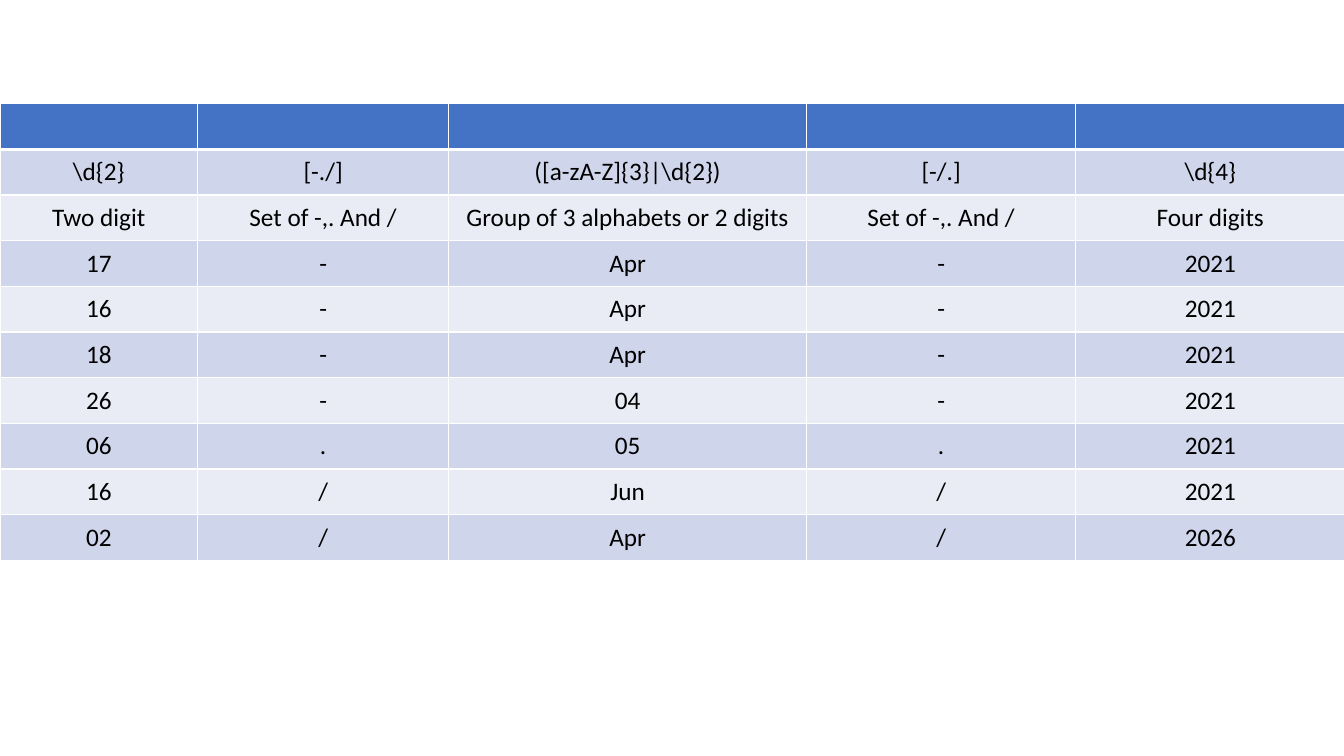
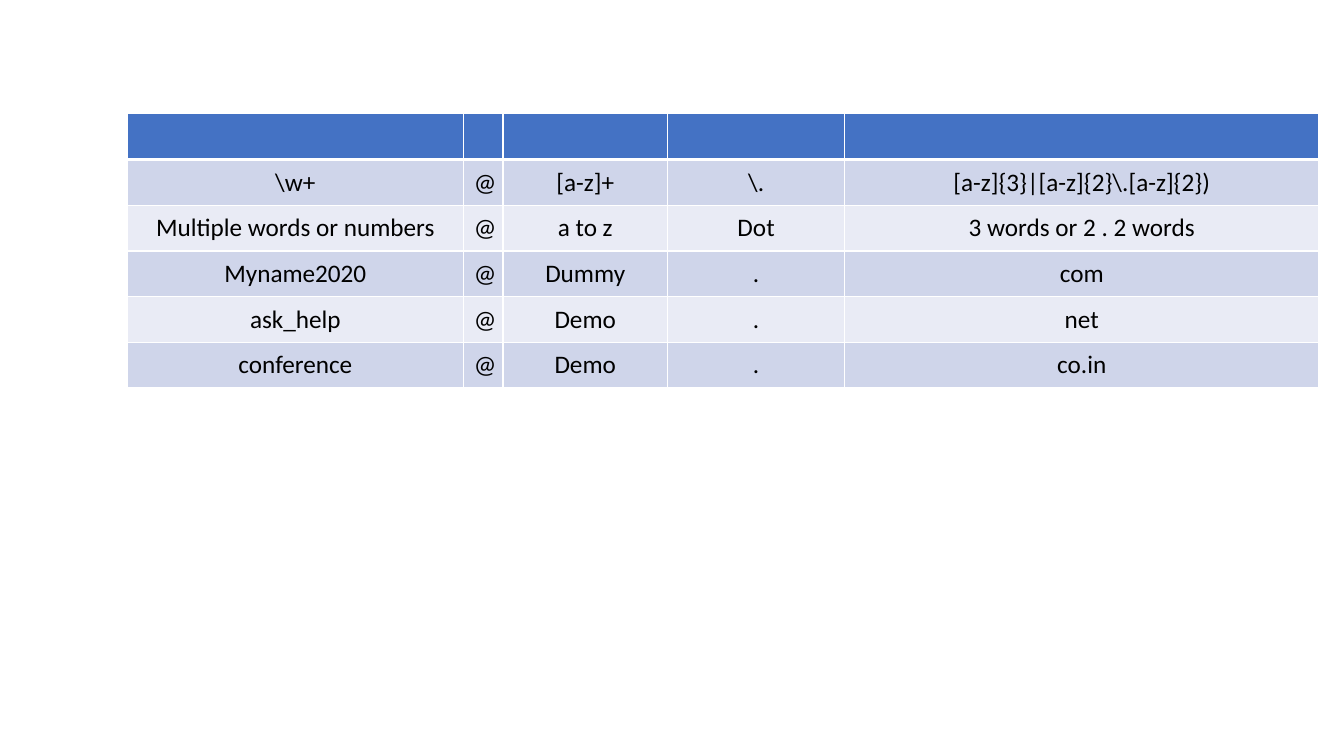
from dataclasses import dataclass

from lxml import etree
from pptx import Presentation
from pptx import util as u
from pptx.dml.color import RGBColor
from pptx.enum import text
from pptx.oxml import ns


@dataclass(frozen=True)
class Theme:
    header: str = "4472C4"
    bands: tuple = ("CFD5EA", "E9EBF5")
    border: str = "FFFFFF"
    ink: str = "000000"
    font: str = "Calibri"
    size: int = 18
    thin: int = 1
    thick: int = 3


def write(frame, words, *, font, size, color, align=text.PP_ALIGN.CENTER):
    para = frame.paragraphs[0]
    para.alignment = align
    span = para.add_run()
    span.text = words
    span.font.name = font
    span.font.size = u.Pt(size)
    span.font.color.rgb = RGBColor.from_string(color)


def draw_borders(cell, color, widths):
    properties = cell._tc.get_or_add_tcPr()
    for side, width in widths.items():
        line = etree.SubElement(properties, ns.qn(f"a:ln{side}"), w=str(u.Pt(width)))
        fill = etree.SubElement(line, ns.qn("a:solidFill"))
        etree.SubElement(fill, ns.qn("a:srgbClr"), val=color)


class SlideBuilder:
    def __init__(self, theme):
        self.theme = theme
        self.deck = Presentation()
        self.deck.slide_width = u.Inches(13.33)
        self.deck.slide_height = u.Inches(7.5)
        self.page = None

    def add_page(self):
        self.page = self.deck.slides.add_slide(self.deck.slide_layouts[6])

    def add_table(self, left, top, height, widths, body):
        rows = [[""] * len(widths)] + body
        table = self.page.shapes.add_table(
            len(rows), len(widths), u.Inches(left), u.Inches(top),
            u.Inches(sum(widths)), u.Inches(height)).table
        table.first_row = table.horz_banding = False
        for column, width in zip(table.columns, widths):
            column.width = u.Inches(width)
        for row_index, row in enumerate(rows):
            for column_index, words in enumerate(row):
                self.fill_cell(table.cell(row_index, column_index), row_index, words)

    def fill_cell(self, cell, row_index, words):
        theme = self.theme
        draw_borders(cell, theme.border, {
            "L": theme.thin,
            "R": theme.thin,
            "T": theme.thick if row_index == 1 else theme.thin,
            "B": theme.thick if row_index == 0 else theme.thin,
        })
        color = theme.bands[(row_index - 1) % 2] if row_index else theme.header
        cell.fill.solid()
        cell.fill.fore_color.rgb = RGBColor.from_string(color)
        cell.vertical_anchor = text.MSO_ANCHOR.MIDDLE
        if words:
            write(cell.text_frame, words, font=theme.font, size=theme.size,
                  color=theme.ink)


DATE_ROWS = [
    [r"\d{2}", "[-./]", r"([a-zA-Z]{3}|\d{2})", "[-/.]", r"\d{4}"],
    ["Two digit", "Set of -,. And /", "Group of 3 alphabets or 2 digits",
     "Set of -,. And /", "Four digits"],
] + [
    [day, mark, month, mark, year]
    for day, mark, month, year in [
        ("17", "-", "Apr", "2021"),
        ("16", "-", "Apr", "2021"),
        ("18", "-", "Apr", "2021"),
        ("26", "-", "04", "2021"),
        ("06", ".", "05", "2021"),
        ("16", "/", "Jun", "2021"),
        ("02", "/", "Apr", "2026"),
    ]
]

EMAIL_ROWS = [
    [user, "@", domain, dot, ending]
    for user, domain, dot, ending in [
        (r"\w+", "[a-z]+", r"\.", r"[a-z]{3}|[a-z]{2}\.[a-z]{2})"),
        ("Multiple words or numbers", "a to z", "Dot", "3 words or 2 . 2 words"),
        ("Myname2020", "Dummy", ".", "com"),
        ("ask_help", "Demo", ".", "net"),
        ("conference", "Demo", ".", "co.in"),
    ]
]


def main():
    builder = SlideBuilder(Theme())
    builder.add_page()
    builder.add_table(0, 1.03, 4.53, [1.96, 2.49, 3.55, 2.67, 2.67], DATE_ROWS)
    builder.add_page()
    builder.add_table(1.26, 1.13, 2.72, [3.34, 0.39, 1.63, 1.76, 4.7], EMAIL_ROWS)
    builder.deck.save("out.pptx")


if __name__ == "__main__":
    main()
